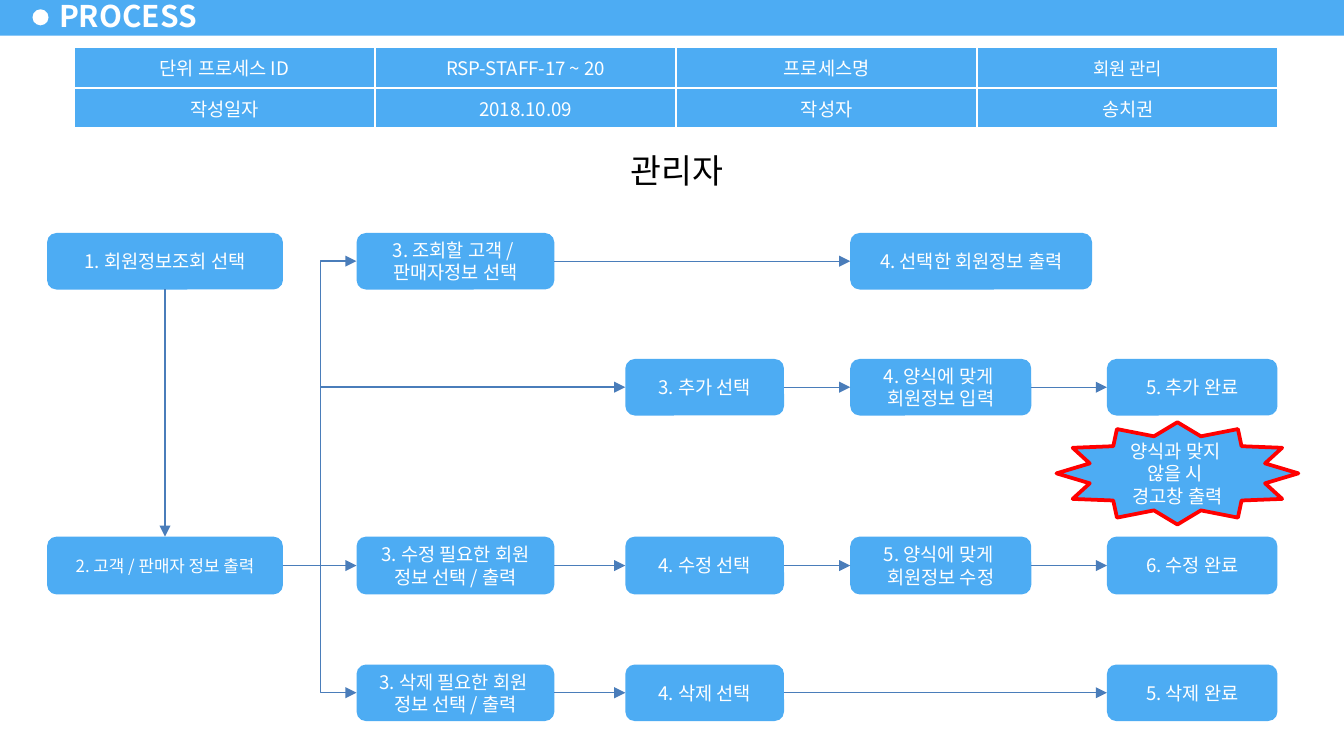
from dataclasses import dataclass

from lxml.etree import SubElement
from pptx import Presentation
from pptx.dml.color import RGBColor
from pptx.enum.shapes import MSO_CONNECTOR as Connector, MSO_SHAPE as Shape
from pptx.enum.text import MSO_ANCHOR as Anchor, MSO_AUTO_SIZE as AutoSize, PP_ALIGN as Align
from pptx.oxml import parse_xml
from pptx.oxml.ns import nsdecls, qn
from pptx.util import Pt

FONT = "Noto Sans CJK KR"
BLUE = RGBColor(0x4D, 0xAC, 0xF3)
ARROW_BLUE = RGBColor(0x4A, 0x7D, 0xBA)
RED = RGBColor(0xFF, 0, 0)
WHITE = RGBColor(0xFF, 0xFF, 0xFF)
BLACK = RGBColor(0, 0, 0)

# Grid of the flow chart: (left, width) by column, (top, height) by row
COLUMNS = {"start": (25.2, 126.4), "target": (191, 106), "choice": (335, 85),
           "form": (455.5, 97), "done": (593, 91.4)}
ROWS = {"view": (124.8, 30.3), "add": (192.3, 30.3),
        "edit": (287.5, 31), "delete": (356, 30.3)}
TRUNK_X = 171.6
TOP, LEFT, BOTTOM, RIGHT = range(4)


@dataclass
class Step:
    column: str
    row: str
    text: str
    size: float = 10
    width: float | None = None


@dataclass
class Link:
    source: tuple[str, str]
    target: tuple[str, str]
    sites: tuple[int, int] = (RIGHT, LEFT)
    bent: bool = False


STEPS = [
    Step("start", "view", "1. 회원정보조회 선택"),
    Step("start", "edit", "2. 고객 / 판매자 정보 출력", size=9),
    Step("target", "view", "3. 조회할 고객 / \n판매자정보 선택"),
    Step("form", "view", "4. 선택한 회원정보 출력", width=129.6),
    Step("choice", "add", "3. 추가 선택"),
    Step("form", "add", "4. 양식에 맞게 \n회원정보 입력"),
    Step("done", "add", "5. 추가 완료"),
    Step("target", "edit", "3. 수정 필요한 회원\n정보 선택 / 출력"),
    Step("choice", "edit", "4. 수정 선택"),
    Step("form", "edit", "5. 양식에 맞게 \n회원정보 수정"),
    Step("done", "edit", "6. 수정 완료"),
    Step("target", "delete", "3. 삭제 필요한 회원 \n정보 선택 / 출력"),
    Step("choice", "delete", "4. 삭제 선택"),
    Step("done", "delete", "5. 삭제 완료"),
]
HUB = ("start", "edit")
LINKS = [
    Link(("start", "view"), HUB, sites=(BOTTOM, TOP)),
    Link(HUB, ("target", "view"), bent=True),
    Link(HUB, ("target", "delete"), bent=True),
    Link(HUB, ("choice", "add"), bent=True),
    Link(HUB, ("target", "edit")),
    Link(("target", "view"), ("form", "view")),
    Link(("choice", "add"), ("form", "add")),
    Link(("form", "add"), ("done", "add")),
    Link(("target", "edit"), ("choice", "edit")),
    Link(("choice", "edit"), ("form", "edit")),
    Link(("form", "edit"), ("done", "edit")),
    Link(("target", "delete"), ("choice", "delete")),
    Link(("choice", "delete"), ("done", "delete")),
]
INFO = [["단위 프로세스 ID", "RSP-STAFF-17 ~ 20", "프로세스명", "회원 관리"],
        ["작성일자", "2018.10.09", "작성자", "송치권"]]


def write(frame, text: str, size: float, color: RGBColor = WHITE,
          align=Align.CENTER, bold: bool = False) -> None:
    frame.text = text
    for para in frame.paragraphs:
        para.alignment = align
        para.font.name = FONT
        para.font.size = Pt(size)
        para.font.bold = bold
        para.font.color.rgb = color
        # Korean glyphs take the East Asian font
        defaults = para._p.get_or_add_pPr().find(qn("a:defRPr"))
        latin = defaults.find(qn("a:latin"))
        latin.addnext(parse_xml(f'<a:ea {nsdecls("a")} typeface="{FONT}"/>'))


def add_block(slide, kind, left: float, top: float, width: float, height: float,
              fill: RGBColor = BLUE):
    block = slide.shapes.add_shape(kind, Pt(left), Pt(top), Pt(width), Pt(height))
    block.shadow.inherit = False
    block.fill.solid()
    block.fill.fore_color.rgb = fill
    block.line.fill.background()
    block.text_frame.word_wrap = True
    block.text_frame.vertical_anchor = Anchor.MIDDLE
    return block


def add_step(slide, step: Step):
    left, width = COLUMNS[step.column]
    top, height = ROWS[step.row]
    box = add_block(slide, Shape.ROUNDED_RECTANGLE, left, top, step.width or width, height)
    write(box.text_frame, step.text, step.size)
    return box


def add_link(slide, link: Link, boxes: dict) -> None:
    kind = Connector.ELBOW if link.bent else Connector.STRAIGHT
    arrow = slide.shapes.add_connector(kind, 0, 0, 0, 0)
    arrow.begin_connect(boxes[link.source], link.sites[0])
    arrow.end_connect(boxes[link.target], link.sites[1])
    arrow.line.color.rgb = ARROW_BLUE
    arrow.line.width = Pt(0.75)
    properties = arrow.element.spPr
    SubElement(properties.find(qn("a:ln")), qn("a:tailEnd"), type="triangle")
    SubElement(properties, qn("a:effectLst"))
    if link.bent:
        # All branches turn on the same vertical trunk
        turn = round((Pt(TRUNK_X) - arrow.begin_x) / (arrow.end_x - arrow.begin_x) * 100000)
        geometry = properties.find(qn("a:prstGeom"))
        guides = geometry.find(qn("a:avLst"))
        if guides is None:
            guides = SubElement(geometry, qn("a:avLst"))
        SubElement(guides, qn("a:gd"), name="adj1", fmla=f"val {turn}")


def add_info_table(slide) -> None:
    table = slide.shapes.add_table(2, 4, Pt(39.6), Pt(25.4), Pt(645.2), Pt(40.4)).table
    for column in table.columns:
        column.width = Pt(161.3)
    for row, texts in zip(table.rows, INFO):
        row.height = Pt(20.2)
        for cell, text in zip(row.cells, texts):
            cell.fill.solid()
            cell.fill.fore_color.rgb = BLUE
            cell.vertical_anchor = Anchor.MIDDLE
            write(cell.text_frame, text, 9.5 if text == "회원 관리" else 10)
            for index, side in enumerate("LRTB"):
                cell._tc.get_or_add_tcPr().insert(index, parse_xml(
                    f'<a:ln{side} {nsdecls("a")} w="12700"><a:solidFill>'
                    f'<a:srgbClr val="{WHITE}"/></a:solidFill></a:ln{side}>'))


deck = Presentation()
deck.slide_width, deck.slide_height = Pt(720), Pt(405)
page = deck.slides.add_slide(deck.slide_layouts[5])

# Header bar and title
add_block(page, Shape.RECTANGLE, 0, -1.4, 720, 20.5)
dot = add_block(page, Shape.OVAL, 17.4, 5, 8.6, 8.6, WHITE)
title = page.shapes.title
dot.element.addnext(title.element)
title.left, title.top, title.width, title.height = Pt(25.2), Pt(-2.9), Pt(87.8), Pt(23)
title_frame = title.text_frame
title_frame.auto_size = AutoSize.NONE
title_frame.vertical_anchor = Anchor.MIDDLE
title_frame.margin_left = title_frame.margin_right = Pt(6.5)
title_frame.margin_top = title_frame.margin_bottom = Pt(3)
write(title_frame, "PROCESS", 16, align=Align.LEFT, bold=True)

# Role heading and process data
heading = add_block(page, Shape.RECTANGLE, 234, 77, 257, 29.5, WHITE)
heading.text_frame.vertical_anchor = Anchor.TOP
write(heading.text_frame, "관리자", 18, BLACK)
add_info_table(page)

# Flow chart
step_boxes = {(step.column, step.row): add_step(page, step) for step in STEPS}
for flow in LINKS:
    add_link(page, flow, step_boxes)

# Warning burst
warning = add_block(page, Shape.STAR_12_POINT, 566, 226.2, 129.6, 54.8)
warning.line.color.rgb = RED
warning.line.width = Pt(2)
write(warning.text_frame, "양식과 맞지 \v않을 시 \v경고창 출력", 10)

deck.save("out.pptx")
